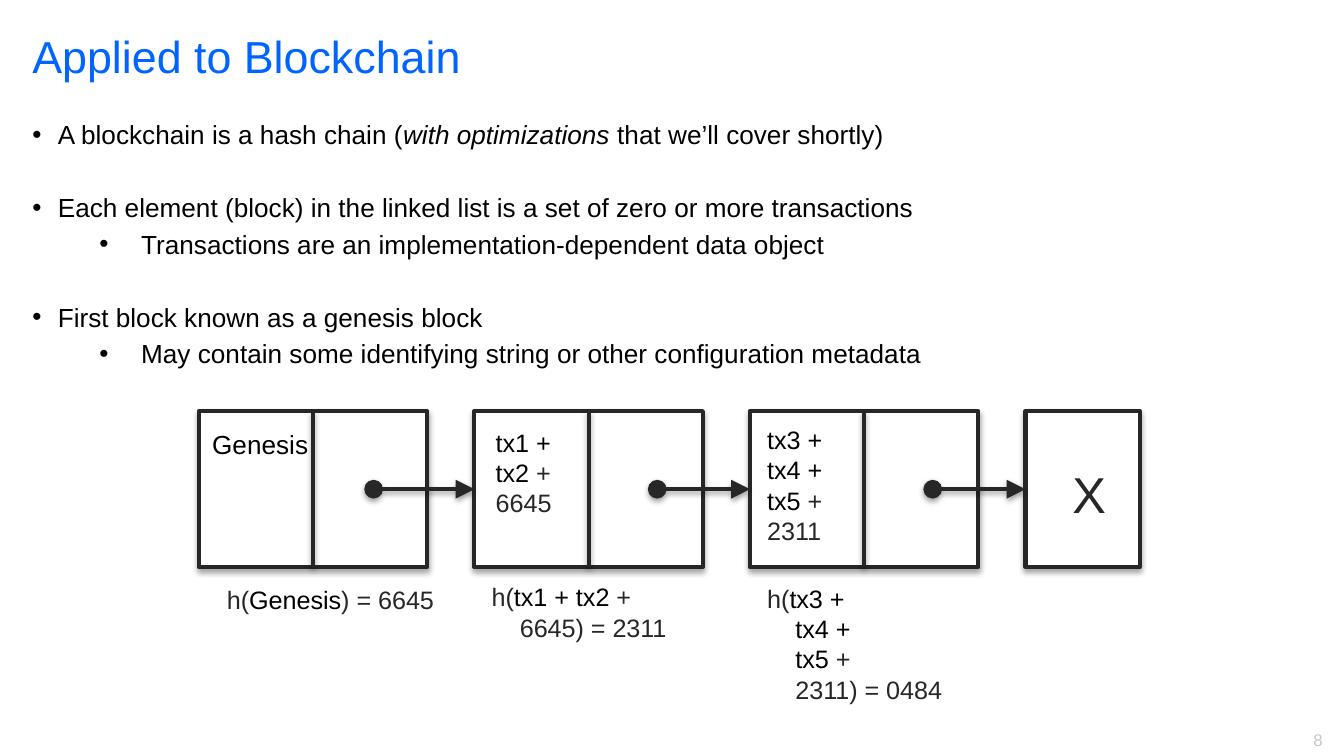
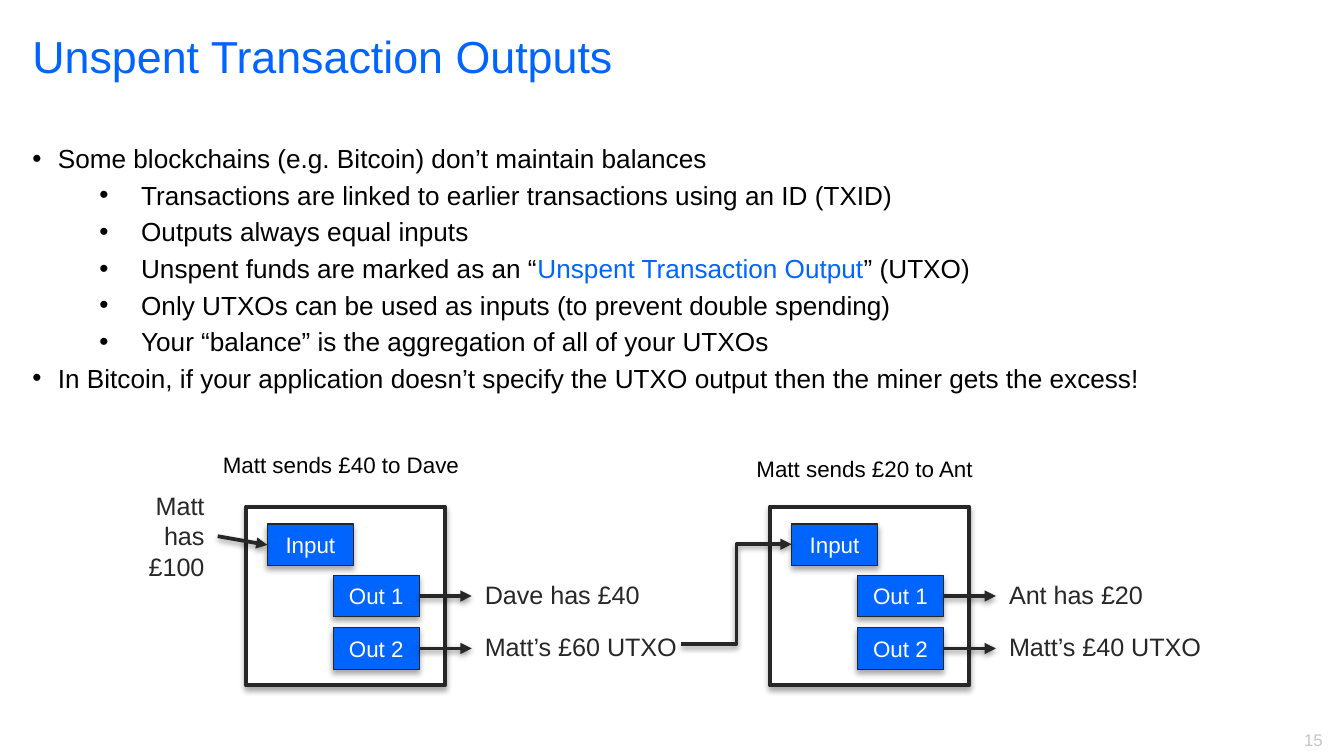
from dataclasses import dataclass
from typing import NamedTuple, Optional, Sequence

from lxml import etree
from pptx import Presentation
from pptx.dml.color import RGBColor
from pptx.enum.shapes import MSO_CONNECTOR, MSO_SHAPE
from pptx.enum.text import MSO_ANCHOR, MSO_AUTO_SIZE, PP_ALIGN
from pptx.oxml.ns import qn
from pptx.util import Inches, Pt

LEFT, CENTER, RIGHT = PP_ALIGN.LEFT, PP_ALIGN.CENTER, PP_ALIGN.RIGHT
TOP, MIDDLE = MSO_ANCHOR.TOP, MSO_ANCHOR.MIDDLE
STRAIGHT, ELBOW = MSO_CONNECTOR.STRAIGHT, MSO_CONNECTOR.ELBOW
RECTANGLE = MSO_SHAPE.RECTANGLE
FIXED, GROW = MSO_AUTO_SIZE.NONE, MSO_AUTO_SIZE.SHAPE_TO_FIT_TEXT
SIDE_TOP, SIDE_LEFT, SIDE_BOTTOM, SIDE_RIGHT = range(4)


@dataclass(frozen=True)
class Theme:
    font: str = "Arial"
    blue: str = "0064FF"
    black: str = "000000"
    white: str = "FFFFFF"
    ink: str = "272727"
    gray: str = "C6C6C6"
    title_size: float = 24
    body_size: float = 14
    label_size: float = 13.5
    small_size: float = 12
    number_size: float = 9
    end_mark_size: float = 27
    line_gap: float = 2.8
    group_gap: float = 22.4
    outline: float = 2.25
    thin_outline: float = 0.75
    connector: float = 2


THEME = Theme()


class Run(NamedTuple):
    text: str
    color: Optional[str] = None
    italic: bool = False


class Line(NamedTuple):
    runs: Sequence[Run]
    level: int = 0
    space_before: float = 0
    indent: float = 0
    hanging: float = 0
    bullet: bool = False


class Box(NamedTuple):
    left: float
    top: float
    width: float
    height: float

    def emu(self):
        return [Inches(value) for value in self]


class Block(NamedTuple):
    content: Sequence[Line]
    content_box: Box
    content_size: float
    pointer: float
    caption: Sequence[Line]
    caption_box: Box


class Transaction(NamedTuple):
    left: float
    heading: str
    heading_box: Box
    outputs: Sequence[str]


def line(*runs, **layout) -> Line:
    return Line([run if isinstance(run, Run) else Run(run) for run in runs], **layout)


def bullet(*runs, level: int = 0, space_before: float = THEME.line_gap) -> Line:
    indent, hanging = ((0.19, 0.19), (0.81, 0.31))[level]
    return line(*runs, level=level, space_before=space_before,
                indent=indent, hanging=hanging, bullet=True)


def black(text: str) -> Run:
    return Run(text, THEME.black)


def write_text(frame, lines, *, size, color, align=LEFT, anchor=TOP, wrap=True,
               autosize=FIXED, margins=(0.1, 0.05)):
    """Fill a text frame with lines, or with one plain string."""
    if isinstance(lines, str):
        lines = [line(lines)]
    frame.word_wrap, frame.auto_size, frame.vertical_anchor = wrap, autosize, anchor
    frame.margin_left = frame.margin_right = Inches(margins[0])
    frame.margin_top = frame.margin_bottom = Inches(margins[1])
    for index, item in enumerate(lines):
        paragraph = frame.add_paragraph() if index else frame.paragraphs[0]
        paragraph.alignment = align
        paragraph.level = item.level
        paragraph.space_before = Pt(item.space_before if index else 0)
        properties = paragraph._p.get_or_add_pPr()
        properties.set("marL", str(Inches(item.indent)))
        properties.set("indent", str(-Inches(item.hanging)))
        if item.bullet:
            etree.SubElement(properties, qn("a:buFont"), typeface=THEME.font)
            etree.SubElement(properties, qn("a:buChar"), char="•")
        else:
            etree.SubElement(properties, qn("a:buNone"))
        for part in item.runs:
            run = paragraph.add_run()
            run.text = part.text
            run.font.name = THEME.font
            run.font.size = Pt(size)
            run.font.italic = part.italic
            run.font.color.rgb = RGBColor.from_string(part.color or color)


def add_label(slide, box: Box, lines, *, size=THEME.label_size, color=THEME.ink, **text_format):
    shape = slide.shapes.add_textbox(*box.emu())
    write_text(shape.text_frame, lines, size=size, color=color, autosize=GROW, **text_format)
    return shape


def add_shadow(shape, opacity: int, distance: float):
    properties = shape.element.xpath("./p:spPr")[0]
    effects = etree.SubElement(properties, qn("a:effectLst"))
    shadow = etree.SubElement(effects, qn("a:outerShdw"), blurRad=str(Pt(3.1)),
                              dist=str(Pt(distance)), dir="5400000", rotWithShape="0")
    tint = etree.SubElement(shadow, qn("a:srgbClr"), val=THEME.black)
    etree.SubElement(tint, qn("a:alpha"), val=str(opacity * 1000))


def add_rectangle(slide, box: Box, *, fill=THEME.white, outline=THEME.outline, text=None):
    shape = slide.shapes.add_shape(RECTANGLE, *box.emu())
    shape.fill.solid()
    shape.fill.fore_color.rgb = RGBColor.from_string(fill)
    shape.line.color.rgb = RGBColor.from_string(THEME.ink)
    shape.line.width = Pt(outline)
    add_shadow(shape, 35, 1.8)
    if text:
        write_text(shape.text_frame, text, size=THEME.small_size, color=THEME.white,
                   align=CENTER, anchor=MIDDLE, margins=(0, 0))
    return shape


def add_line(slide, start, end, *, kind=STRAIGHT, begin=None, finish=None,
             head=None, tail=None, end_size="med"):
    """Draw a connector; begin and finish are (shape, side) pairs to join."""
    connector = slide.shapes.add_connector(kind, *map(Inches, (*start, *end)))
    if begin:
        connector.begin_connect(*begin)
    if finish:
        connector.end_connect(*finish)
    connector.line.color.rgb = RGBColor.from_string(THEME.ink)
    connector.line.width = Pt(THEME.connector)
    stroke = connector.element.xpath("./p:spPr/a:ln")[0]
    for tag, mark in (("a:headEnd", head), ("a:tailEnd", tail)):
        if mark:
            etree.SubElement(stroke, qn(tag), type=mark, w=end_size, len=end_size)
    add_shadow(connector, 38, 1.6)


def place(shape, box: Box):
    shape.left, shape.top, shape.width, shape.height = box.emu()


def add_content_slide(presentation, title: str, number: int, body_top: float, body):
    slide = presentation.slides.add_slide(presentation.slide_layouts[1])
    add_label(slide, Box(9.36, 5.38, 0.58, 0.25), str(number),
              size=THEME.number_size, color=THEME.gray, align=RIGHT)
    heading, content = slide.shapes.title, slide.placeholders[1]
    place(heading, Box(0.14, 0.16, 8.5, 1.11))
    write_text(heading.text_frame, title, size=THEME.title_size, color=THEME.blue)
    place(content, Box(0.14, body_top, 9.73, 3.24))
    write_text(content.text_frame, body, size=THEME.body_size, color=THEME.black)
    return slide


def build_hash_chain(presentation):
    slide = add_content_slide(presentation, "Applied to Blockchain", 8, 0.83, [
        bullet("A blockchain is a hash chain (", Run("with optimizations ", italic=True),
               "that we’ll cover shortly)"),
        bullet("Each element (block) in the linked list is a set of zero or more transactions",
               space_before=THEME.group_gap),
        bullet("Transactions are an implementation-dependent data object", level=1),
        bullet("First block known as a genesis block", space_before=THEME.group_gap),
        bullet("May contain some identifying string or other configuration metadata", level=1),
    ])
    left, top, pitch, cell, height = 1.48, 3.06, 2.05, 0.85, 1.16
    middle = top + height / 2
    indent = 0.21
    blocks = [
        Block([line(black("Genesis"))], Box(1.48, 3.14, 0.92, 0.34), THEME.body_size, 2.78,
              [line("h(", black("Genesis"), ") = 6645")], Box(1.59, 4.3, 1.77, 0.33)),
        Block([line(black("tx1 +")), line(black("tx2"), " + 6645")],
              Box(3.59, 3.13, 0.88, 0.78), THEME.label_size, 4.89,
              [line("h(", black("tx1 + tx2 "), "+"), line("6645) = 2311", indent=indent)],
              Box(3.56, 4.28, 1.55, 0.56)),
        Block([line(black("tx3 +")), line(black("tx4 +")), line(black("tx5"), " + 2311")],
              Box(5.61, 3.11, 0.85, 1.01), THEME.label_size, 6.94,
              [line("h(", black("tx3 +")), line(black("tx4 +"), indent=indent),
               line(black("tx5 "), "+", indent=indent), line("2311) = 0484", indent=indent)],
              Box(5.61, 4.29, 1.55, 1.01)),
    ]
    frames = []
    for index, block in enumerate(blocks):
        x = left + index * pitch
        frame = add_rectangle(slide, Box(x, top, 2 * cell, height))
        frames.append(frame)
        add_line(slide, (x + cell, top), (x + cell, top + height),
                 begin=(frame, SIDE_TOP), finish=(frame, SIDE_BOTTOM))
        add_label(slide, block.content_box, block.content, size=block.content_size,
                  wrap=index > 0)
        add_label(slide, block.caption_box, block.caption)
    frames.append(add_rectangle(slide, Box(left + len(blocks) * pitch, top, cell, height)))
    add_label(slide, Box(7.88, 3.4, 0.45, 0.56), "X", size=THEME.end_mark_size, wrap=False)
    for index, (block, target) in enumerate(zip(blocks, frames[1:]), start=1):
        add_line(slide, (block.pointer, middle), (left + index * pitch, middle),
                 finish=(target, SIDE_LEFT), head="oval", tail="triangle", end_size="lg")


def add_transaction(slide, transaction: Transaction):
    """Draw one transaction and return its input box."""
    left, tag_width, tag_height = transaction.left, 0.64, 0.31

    def add_tag(x: float, y: float, text: str):
        return add_rectangle(slide, Box(x, y, tag_width, tag_height), fill=THEME.blue,
                             outline=THEME.thin_outline, text=text)

    add_rectangle(slide, Box(left, 3.77, 1.48, 1.33))
    add_label(slide, transaction.heading_box, transaction.heading,
              size=THEME.small_size, color=THEME.black)
    input_tag = add_tag(left + 0.16, 3.9, "Input")
    for index, result in enumerate(transaction.outputs):
        x, y = left + 0.65, 4.28 + index * 0.39
        output_tag = add_tag(x, y, f"Out {index + 1}")
        add_label(slide, Box(left + 1.68, y - 0.02, 1.67, 0.33), result)
        middle = y + tag_height / 2
        add_line(slide, (x + tag_width, middle), (left + 1.68, middle),
                 begin=(output_tag, SIDE_RIGHT), tail="triangle")
    return input_tag


def build_unspent_outputs(presentation):
    slide = add_content_slide(presentation, "Unspent Transaction Outputs", 15, 1.01, [
        bullet("Some blockchains (e.g. Bitcoin) don’t maintain balances"),
        bullet("Transactions are linked to earlier transactions using an ID (TXID)", level=1),
        bullet("Outputs always equal inputs", level=1),
        bullet("Unspent funds are marked as an “",
               Run("Unspent Transaction Output", THEME.blue), "” (UTXO)", level=1),
        bullet("Only UTXOs can be used as inputs (to prevent double spending)", level=1),
        bullet("Your “balance” is the aggregation of all of your UTXOs", level=1),
        bullet("In Bitcoin, if your application doesn’t specify the UTXO output "
               "then the miner gets the excess!"),
    ])
    first_input, _ = [add_transaction(slide, transaction) for transaction in (
        Transaction(1.83, "Matt sends £40 to Dave", Box(1.56, 3.31, 2.02, 0.3),
                    ["Dave has £40", "Matt’s £60 UTXO"]),
        Transaction(5.73, "Matt sends £20 to Ant", Box(5.53, 3.34, 2.02, 0.3),
                    ["Ant has £20", "Matt’s £40 UTXO"]),
    )]
    funds = add_label(slide, Box(0.99, 3.6, 0.63, 0.78), "Matt has £100", align=RIGHT)
    add_line(slide, (1.62, 3.99), (1.99, 4.05), begin=(funds, SIDE_RIGHT),
             finish=(first_input, SIDE_LEFT), tail="triangle")
    add_line(slide, (5.07, 4.79), (5.89, 4.05), kind=ELBOW, tail="triangle")


def main():
    presentation = Presentation()
    presentation.slide_width = Inches(10)
    presentation.slide_height = presentation.slide_width * 9 // 16
    build_hash_chain(presentation)
    build_unspent_outputs(presentation)
    presentation.save("out.pptx")


if __name__ == "__main__":
    main()
